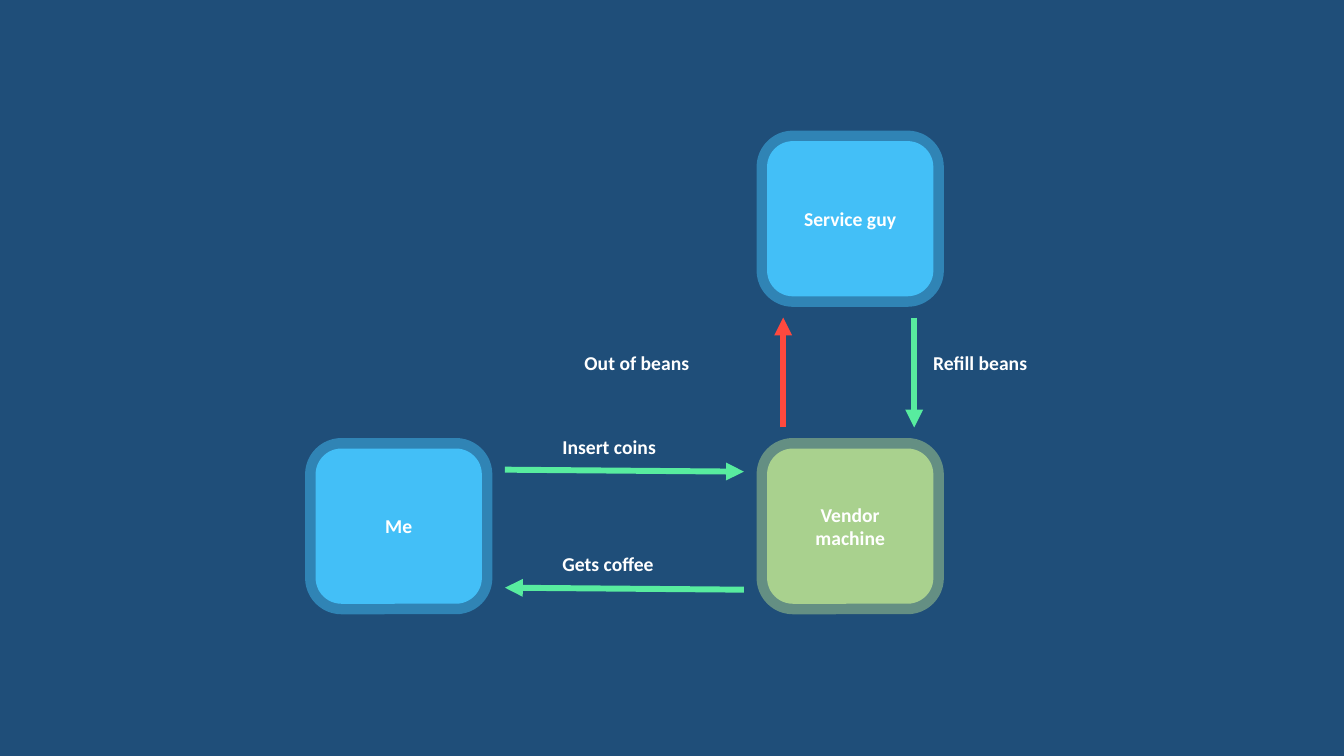
"""Build the coffee vending machine interaction slide."""
from dataclasses import dataclass

from lxml import etree
from pptx import Presentation
from pptx.dml.color import RGBColor
from pptx.enum import shapes, text
from pptx.oxml import ns
from pptx.util import Pt


@dataclass(frozen=True)
class Theme:
    background: str = "1F4E79"
    person: str = "43BFF7"
    machine: str = "A9D18E"
    normal: str = "58EC9F"
    alert: str = "FF493E"
    text: str = "FFFFFF"
    font: str = "Calibri"
    text_size: float = 14
    border: float = 15
    arrow: float = 4.25


THEME = Theme()
SLIDE_SIZE = (960, 540)
NODE_SIZE = (118.8, 110.9)
LABEL_HEIGHT = 24.5
LEFT, RIGHT, TOP, BOTTOM = 225.4, 547.9, 100.8, 320.4
ARROW_LEFT, ARROW_RIGHT = 360.7, 531.4
ARROW_TOP, ARROW_BOTTOM = 226.8, 305.3
SLOPE = 1.4

NODES = [
    ("Vendor machine", RIGHT, BOTTOM, THEME.machine, 50),
    ("Service guy", RIGHT, TOP, THEME.person, 48),
    ("Me", LEFT, BOTTOM, THEME.person, 48),
]
FLOWS = [
    ("Insert coins", (394.6, 307.4, 89.3), THEME.normal,
     (ARROW_LEFT, 335.5), (ARROW_RIGHT, 335.5 + SLOPE)),
    ("Out of beans", (410.4, 247, 95), THEME.alert,
     (559.4, ARROW_BOTTOM), (559.4, ARROW_TOP)),
    ("Refill beans", (659.5, 247, 89.3), THEME.normal,
     (653, ARROW_TOP), (653, ARROW_BOTTOM)),
    ("Gets coffee", (394.6, 391, 87.1), THEME.normal,
     (ARROW_RIGHT, 419.8 + SLOPE), (ARROW_LEFT, 419.8)),
]


def points(*values):
    return [Pt(value) for value in values]


def write(paragraph, words):
    run = paragraph.add_run()
    run.text = words
    run.font.name = THEME.font
    run.font.size = Pt(THEME.text_size)
    run.font.bold = True
    run.font.color.rgb = RGBColor.from_string(THEME.text)


def style_line(line, color, width):
    line.color.rgb = RGBColor.from_string(color)
    line.width = Pt(width)


def add_node(slide, words, left, top, color, opacity):
    shape = slide.shapes.add_shape(
        shapes.MSO_SHAPE.ROUNDED_RECTANGLE, *points(left, top, *NODE_SIZE))
    shape.shadow.inherit = False
    shape.fill.solid()
    shape.fill.fore_color.rgb = RGBColor.from_string(color)
    style_line(shape.line, color, THEME.border)
    line_color = shape.line._get_or_add_ln().find(".//" + ns.qn("a:srgbClr"))
    etree.SubElement(line_color, ns.qn("a:alpha"), val=str(opacity * 1000))
    frame = shape.text_frame
    frame.word_wrap = True
    frame.vertical_anchor = text.MSO_ANCHOR.MIDDLE
    frame.paragraphs[0].alignment = text.PP_ALIGN.CENTER
    write(frame.paragraphs[0], words)


def add_flow(slide, words, place, color, start, end):
    arrow = slide.shapes.add_connector(
        shapes.MSO_CONNECTOR.STRAIGHT, *points(*start, *end))
    style_line(arrow.line, color, THEME.arrow)
    etree.SubElement(arrow.line._get_or_add_ln(), ns.qn("a:tailEnd"), type="triangle")
    etree.SubElement(arrow._element.spPr, ns.qn("a:effectLst"))
    label = slide.shapes.add_textbox(*points(*place, LABEL_HEIGHT))
    frame = label.text_frame
    frame.word_wrap = False
    frame.auto_size = text.MSO_AUTO_SIZE.SHAPE_TO_FIT_TEXT
    write(frame.paragraphs[0], words)


def main():
    presentation = Presentation()
    presentation.slide_width, presentation.slide_height = points(*SLIDE_SIZE)
    slide = presentation.slides.add_slide(presentation.slide_layouts.get_by_name("Blank"))
    slide.background.fill.solid()
    slide.background.fill.fore_color.rgb = RGBColor.from_string(THEME.background)
    for node in NODES:
        add_node(slide, *node)
    for flow in FLOWS:
        add_flow(slide, *flow)
    presentation.save("out.pptx")


if __name__ == "__main__":
    main()
